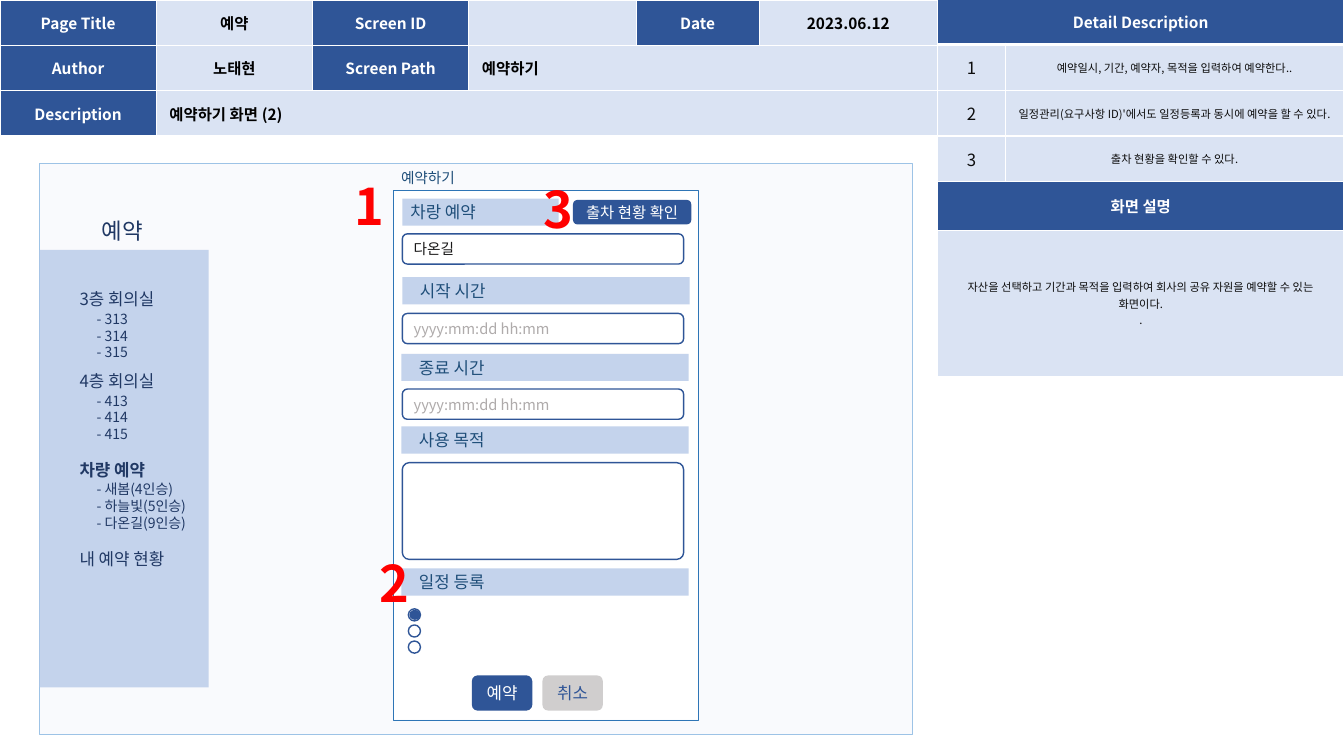
from lxml import etree
from pptx import Presentation
from pptx.dml.color import RGBColor
from pptx.enum.shapes import MSO_SHAPE
from pptx.enum.text import MSO_ANCHOR, MSO_AUTO_SIZE, PP_ALIGN
from pptx.oxml.ns import qn
from pptx.util import Inches, Pt

RECT, ROUND, OVAL = MSO_SHAPE.RECTANGLE, MSO_SHAPE.ROUNDED_RECTANGLE, MSO_SHAPE.OVAL
LEFT, CENTER = PP_ALIGN.LEFT, PP_ALIGN.CENTER
TOP, MIDDLE = MSO_ANCHOR.TOP, MSO_ANCHOR.MIDDLE
NO_FIT = MSO_AUTO_SIZE.NONE

FONT = "Noto Sans CJK KR"
BLUE, PALE, BAND, WHITE = "2F5597", "DAE3F3", "B4C7E7", "FFFFFF"
NAVY, LABEL, INK, RED = "203864", "1F4E79", "0D0D0D", "FF0000"
TITLE_ONLY = 5


def grid(*cells):
    """Lengths counted in columns and rows of a 0.1 inch grid."""
    return [Inches(cell / 10) for cell in cells]


def rgb(value):
    return RGBColor.from_string(value)


def write(frame, lines, size, color, bold=False, align=LEFT):
    for index, line in enumerate(lines):
        paragraph = frame.paragraphs[0] if index == 0 else frame.add_paragraph()
        paragraph.alignment = align
        if not line:
            paragraph.font.size = Pt(size)
            continue
        run = paragraph.add_run()
        run.text = line
        run.font.name = FONT
        etree.SubElement(run.font._element, qn("a:ea")).set("typeface", FONT)
        run.font.size = Pt(size)
        run.font.bold = bold
        run.font.color.rgb = rgb(color)


def add_label(slide, box, lines, size, color, bold=False):
    frame = slide.shapes.add_textbox(*grid(*box)).text_frame
    frame.word_wrap = True
    write(frame, lines, size, color, bold)


def add_box(slide, kind, box, fill=None, line=None, width=1, alpha=None, corner=None):
    shape = slide.shapes.add_shape(kind, *grid(*box))
    shape.shadow.inherit = False
    if fill:
        shape.fill.solid()
        shape.fill.fore_color.rgb = rgb(fill)
    else:
        shape.fill.background()
    if alpha:
        color = shape.fill._xPr.find(qn("a:solidFill"))[0]
        etree.SubElement(color, qn("a:alpha")).set("val", str(alpha * 1000))
    if line:
        shape.line.color.rgb = rgb(line)
        shape.line.width = Pt(width)
    else:
        shape.line.fill.background()
    if corner is not None:
        shape.adjustments[0] = corner
    return shape


def fill_box(shape, text, size, color, align=LEFT, inset=1):
    frame = shape.text_frame
    frame.word_wrap = True
    frame.vertical_anchor = MIDDLE
    frame.margin_left, frame.margin_right = grid(inset, 0)
    frame.margin_top = frame.margin_bottom = 0
    write(frame, [text], size, color, align=align)


def add_heading(slide, left, top, width, text, inset):
    band = add_box(slide, RECT, (left, top, width, 2.7), BAND, alpha=78)
    fill_box(band, text, 12, LABEL, inset=inset)


def add_field(slide, top, text="", color=INK, height=3, corner=0.167):
    field = add_box(slide, ROUND, (39.9, top, 27.9, height), WHITE, BLUE, corner=corner)
    if text:
        fill_box(field, text, 10.5, color)


def add_button(slide, box, text, size, fill, color, line=None):
    button = add_box(slide, ROUND, box, fill, line)
    fill_box(button, text, size, color, CENTER, inset=0)


def add_grid_table(slide, left, top, columns, rows):
    box = grid(left, top, sum(columns), sum(rows))
    table = slide.shapes.add_table(len(rows), len(columns), *box).table
    table.first_row = table.horz_banding = False
    for column, width in zip(table.columns, grid(*columns)):
        column.width = width
    for row, height in zip(table.rows, grid(*rows)):
        row.height = height
    return table


def set_cell(table, row, column, lines, size=11, color=INK, fill=PALE, bold=False,
             align=CENTER, span=1, pad=(1.3, 0.5), bottom=1):
    cell = table.cell(row, column)
    if span > 1:
        cell.merge(table.cell(row, column + span - 1))
    cell.vertical_anchor = MIDDLE
    cell.margin_left = cell.margin_right = grid(pad[0])[0]
    cell.margin_top = cell.margin_bottom = grid(pad[1])[0]
    for merged in range(column, column + span):
        properties = table.cell(row, merged)._tc.get_or_add_tcPr()
        for side, width in (("L", 1), ("R", 1), ("T", 1), ("B", bottom)):
            border = etree.SubElement(properties, qn(f"a:ln{side}"), w=str(Pt(width)))
            solid = etree.SubElement(border, qn("a:solidFill"))
            etree.SubElement(solid, qn("a:srgbClr")).set("val", WHITE)
    cell.fill.solid()
    cell.fill.fore_color.rgb = rgb(fill)
    write(cell.text_frame, lines, size, color, bold, align)


def add_page_info(slide):
    table = add_grid_table(slide, 0, 0, [15.5, 15.5, 15.5, 16.6, 12.2, 17.7], [4.5] * 3)
    names = [(0, 0, "Page Title"), (0, 2, "Screen ID"), (0, 4, "Date"),
             (1, 0, "Author"), (1, 2, "Screen Path"), (2, 0, "Description")]
    values = [(0, 1, "예약", 1), (0, 3, "", 1), (0, 5, "2023.06.12", 1),
              (1, 1, "노태현", 1), (1, 3, "예약하기", 3), (2, 1, "예약하기 화면 (2)", 5)]
    for row, column, name in names:
        set_cell(table, row, column, [name], color=WHITE, fill=BLUE, bold=True)
    for row, column, value, span in values:
        set_cell(table, row, column, [value], color="000000", bold=True, span=span,
                 align=LEFT if span > 1 else CENTER)


def add_details(slide):
    table = add_grid_table(slide, 93, -0.1, [6.7, 33.6], [4.5] + [4.55] * 3 + [4.8, 14.5])
    details = ["예약일시, 기간, 예약자, 목적을 입력하여 예약한다..",
               "일정관리(요구사항 ID)'에서도 일정등록과 동시에 예약을 할 수 있다.",
               "출차 현황을 확인할 수 있다."]
    for row, text, bottom in ((0, "Detail Description", 3), (4, "화면 설명", 1)):
        set_cell(table, row, 0, [text], color=WHITE, fill=BLUE, bold=True, span=2,
                 bottom=bottom)
    for number, detail in enumerate(details, 1):
        set_cell(table, number, 0, [str(number)], size=12)
        set_cell(table, number, 1, [detail], size=8, pad=(1, 0.4))
    summary = "자산을 선택하고 기간과 목적을 입력하여 회사의 공유 자원을 예약할 수 있는 화면이다."
    set_cell(table, 5, 0, [summary, "."], size=8, span=2)


def add_screen_title(slide):
    title = slide.shapes.title
    title.left, title.top, title.width, title.height = grid(9.1, 21, 32.7, 3.7)
    frame = title.text_frame
    frame.auto_size = NO_FIT
    frame.vertical_anchor = TOP
    write(frame, ["예약"], 16, NAVY)
    slide.shapes._spTree.append(title._element)  # bring in front of the screen area


def add_menu(slide):
    add_box(slide, RECT, (3.9, 24.8, 16.8, 43.4), BAND, alpha=76)
    menu = [(28.2, "3층 회의실", ["- 313", "- 314", "- 315"]),
            (36.3, "4층 회의실", ["- 413", "- 414", "- 415"]),
            (45.1, "차량 예약", ["- 새봄(4인승)", "- 하늘빛(5인승)", "- 다온길(9인승)"]),
            (53.9, "내 예약 현황", [])]
    for top, heading, choices in menu:
        add_label(slide, (6.9, top, 25.8, 3.4), [heading], 12, NAVY,
                  bold=heading == "차량 예약")
        if choices:
            add_label(slide, (8.6, top + 2.1, 25.8, 6), choices, 10, NAVY)


def add_form(slide):
    add_box(slide, ROUND, (39, 18.9, 30.3, 52.5), WHITE, "2E75B6", 0.25, corner=0)
    add_label(slide, (38.8, 16.3, 24, 3), ["예약하기"], 10.5, LABEL)

    # Headings and entry fields
    add_heading(slide, 39.9, 19.7, 15.5, "차랑 예약", 0.8)
    add_heading(slide, 39.9, 27.5, 28.5, "시작 시간", 1.75)
    for top, text in ((35.1, "종료 시간"), (42.3, "사용 목적"), (56.4, "일정 등록")):
        add_heading(slide, 39.8, top, 28.5, text, 1.75)
    add_field(slide, 23.2, "다온길", "181717")
    for top in (31.1, 38.6):
        add_field(slide, top, "yyyy:mm:dd hh:mm", "AFABAB")
    add_field(slide, 45.9, height=9.6, corner=0.071)

    # Schedule options, the first one chosen
    for option in range(3):
        add_box(slide, OVAL, (40.5, 60.4 + 1.6 * option, 1.2, 1.2), line=BLUE)
    add_box(slide, OVAL, (40.6, 60.5, 1.1, 1), BLUE)

    # Buttons
    add_button(slide, (46.8, 67, 6, 3.5), "예약", 12, BLUE, WHITE)
    add_button(slide, (53.8, 67, 6, 3.5), "취소", 12, "D0CECE", BLUE)
    add_button(slide, (56.9, 19.9, 11.6, 2.3), "출차 현황 확인", 11, BLUE, WHITE, BLUE)

    # Numbers that refer to the detail table
    for number, left, top in (("1", 34.2, 16.9), ("2", 36.7, 54.3), ("3", 52.9, 17.2)):
        add_label(slide, (left, top, 6.4, 7.1), [number], 36, RED, bold=True)


def main():
    deck = Presentation()
    deck.slide_width, deck.slide_height = Inches(13.33), Inches(7.5)
    slide = deck.slides.add_slide(deck.slide_layouts[TITLE_ONLY])
    add_page_info(slide)
    add_details(slide)
    add_box(slide, RECT, (3.9, 16.2, 86.6, 56.7), "F9FAFD", "9DC3E6", 0.5)
    add_screen_title(slide)
    add_menu(slide)
    add_form(slide)
    deck.save("out.pptx")


if __name__ == "__main__":
    main()
